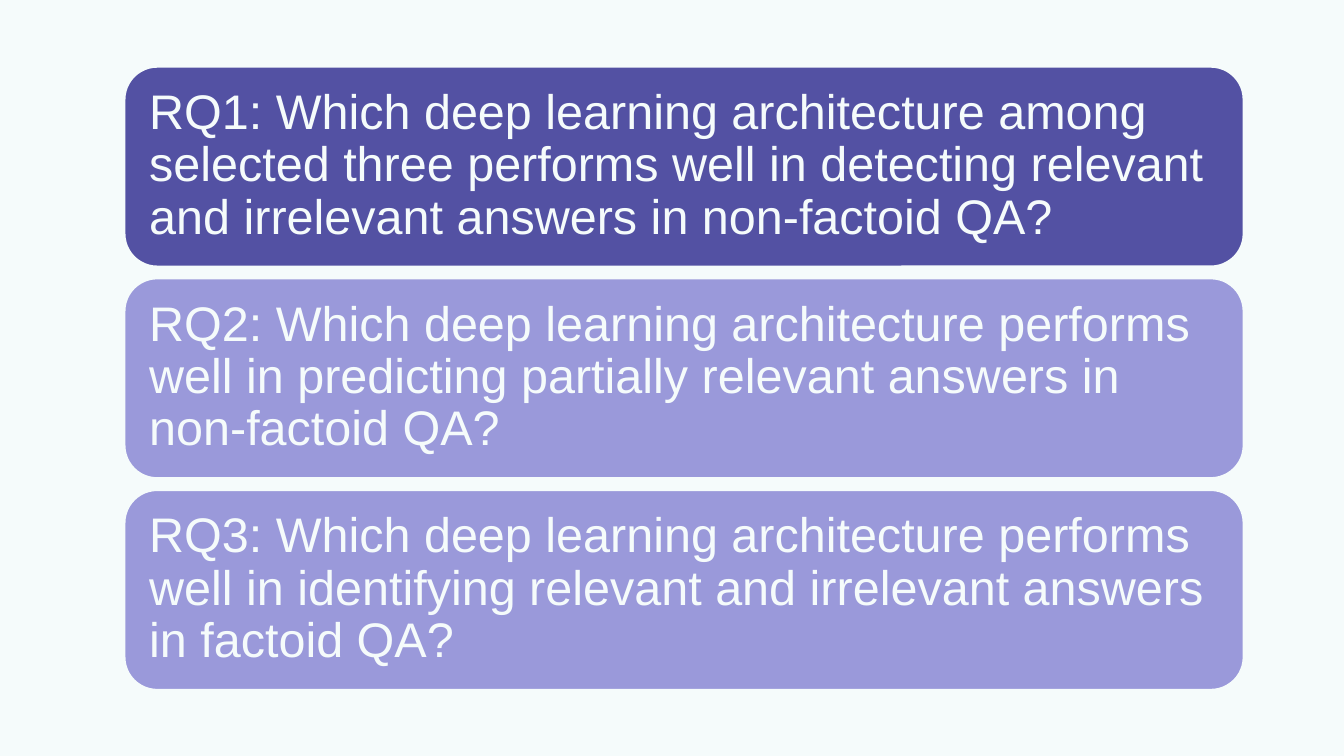
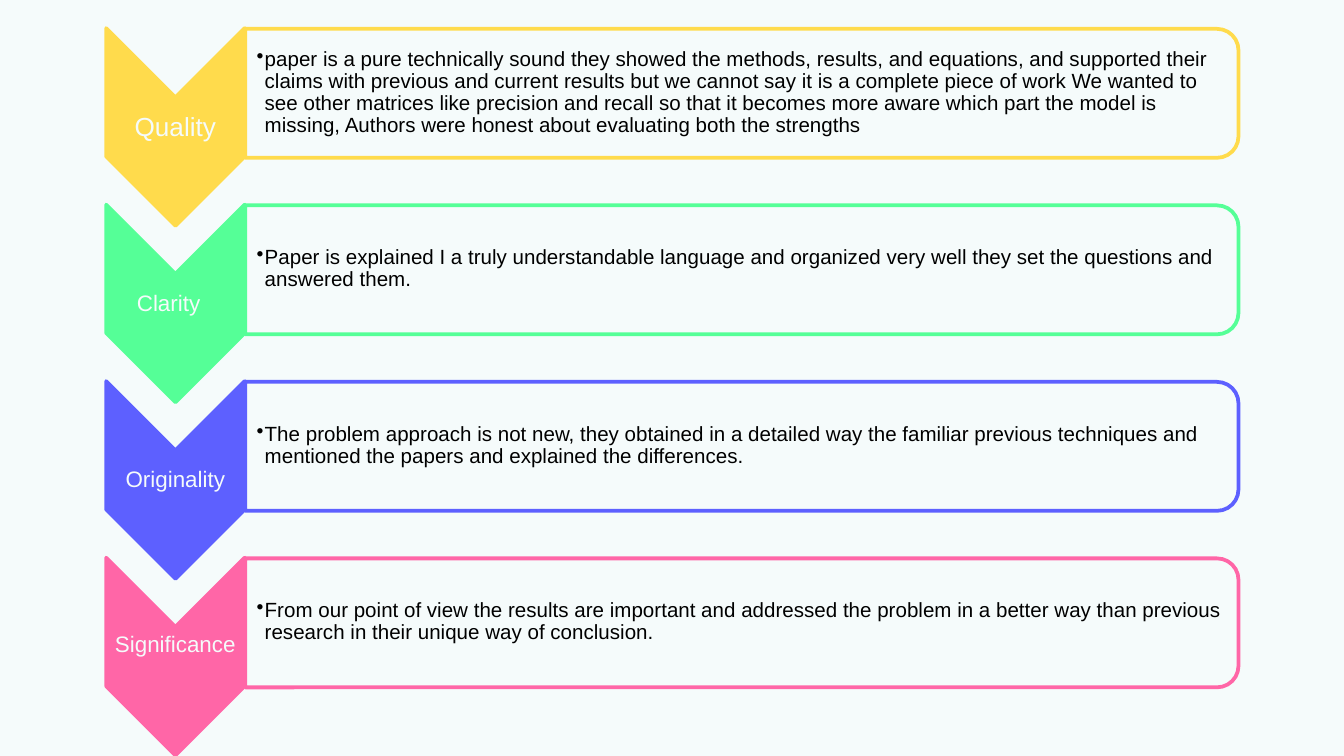
from dataclasses import dataclass

from lxml.etree import SubElement
from pptx import Presentation
from pptx.dml.color import RGBColor
from pptx.enum.shapes import MSO_SHAPE
from pptx.enum.text import MSO_ANCHOR, PP_ALIGN
from pptx.oxml.ns import qn
from pptx.util import Inches, Pt


@dataclass(frozen=True)
class Theme:
    paper: str = "F5FBFB"
    ink: str = "000000"
    dark: str = "5351A3"
    light: str = "9A99DA"
    yellow: str = "FFDB4C"
    green: str = "55FF97"
    blue: str = "5D60FF"
    pink: str = "FF66A7"
    font: str = "Arial"
    ask: int = 26
    lead: int = 14
    label: int = 12
    body: int = 11
    line: int = 2


theme = Theme()


def draw(group, kind, box, fill, line, turn=0):
    shape = group.shapes.add_shape(kind, *map(Inches, box))
    shape.shadow.inherit = False
    shape.rotation = turn
    shape.fill.solid()
    shape.fill.fore_color.rgb = RGBColor.from_string(fill)
    shape.line.color.rgb = RGBColor.from_string(line)
    shape.line.width = Pt(theme.line)
    return shape


def write(group, box, text, size, color, pads, align=PP_ALIGN.LEFT):
    """Add a middle-anchored text box; pads are left, top, right, bottom."""
    frame = group.shapes.add_textbox(*map(Inches, box)).text_frame
    frame.word_wrap = True
    frame.vertical_anchor = MSO_ANCHOR.MIDDLE
    for side, pad in zip(("left", "top", "right", "bottom"), pads):
        setattr(frame, f"margin_{side}", Inches(pad))
    para = frame.paragraphs[0]
    para.alignment = align
    para.line_spacing = 0.9
    run = para.add_run()
    run.text = text
    for name, value in {"name": theme.font, "size": Pt(size)}.items():
        setattr(run.font, name, value)
    run.font.color.rgb = RGBColor.from_string(color)
    return para


deck = Presentation()
deck.slide_width, deck.slide_height = Inches(10), Inches(5.625)

groups = []
for _ in range(2):
    slide = deck.slides.add_slide(deck.slide_layouts[6])
    slide.background.fill.solid()
    slide.background.fill.fore_color.rgb = RGBColor.from_string(theme.paper)
    groups.append(slide.shapes.add_group_shape())
asks, review = groups

# Research questions
questions = [
    (theme.dark, "RQ1: Which deep learning architecture among selected three performs "
     "well in detecting relevant and irrelevant answers in non-factoid QA?"),
    (theme.light, "RQ2: Which deep learning architecture performs well in predicting "
     "partially relevant answers in non-factoid QA?"),
    (theme.light, "RQ3: Which deep learning architecture performs well in identifying "
     "relevant and irrelevant answers in factoid QA?"),
]
for i, (fill, text) in enumerate(questions):
    top = 0.49 + i * 1.575
    draw(asks, MSO_SHAPE.ROUNDED_RECTANGLE, (0.92, top, 8.34, 1.5), fill, theme.paper)
    write(asks, (1, top + 0.07, 8.19, 1.35), text, theme.ask, theme.paper, [0.11] * 4)

# Paper review: the last two values of a row pad its label on the right and below
rows = [
    ("Quality", theme.yellow, theme.lead,
     "paper is a pure technically sound they showed the methods, results, and "
     "equations, and supported their claims with previous and current results but we "
     "cannot say it is a complete piece of work We wanted to see other matrices like "
     "precision and recall so that it becomes more aware which part the model is "
     "missing, Authors were honest about evaluating both the strengths", 0.01, 0.01),
    ("Clarity", theme.green, theme.label,
     "Paper is explained I a truly understandable language and organized very well "
     "they set the questions and answered them.", 0.11, 0.01),
    ("Originality", theme.blue, theme.label,
     "The problem approach is not new, they obtained in a detailed way the familiar "
     "previous techniques and mentioned the papers and explained the differences.",
     0.01, 0.01),
    ("Significance", theme.pink, theme.label,
     "From our point of view the results are important and addressed the problem in a "
     "better way than previous research in their unique way of conclusion.", 0.01, 0.19),
]
step = 3.94 / 3
for i, (name, color, size, text, right, below) in enumerate(rows):
    y = i * step
    draw(review, MSO_SHAPE.CHEVRON, (0.57, 0.43 + y, 1.47, 1.03), color, color, 90)
    write(review, (0.79, 0.73 + y, 1.03, 0.44), name, size, theme.paper,
          (0.01, 0.01, right, below), PP_ALIGN.CENTER)

    panel = draw(review, MSO_SHAPE.ROUND_2_SAME_RECTANGLE, (5.04, y - 3, 0.96, 7.39),
                 theme.paper, color, 90)
    tint = panel.fill._xPr.find(qn("a:solidFill"))[0]
    SubElement(tint, qn("a:alpha"), val="90000")

    para = write(review, (1.82, 0.26 + y, 7.34, 0.86), text, theme.body, theme.ink,
                 (0.09, 0.01, 0.01, 0.01))
    props = para._p.get_or_add_pPr()
    props.set("marL", str(Inches(0.06)))
    props.set("indent", str(-Inches(0.06)))
    SubElement(props, qn("a:buChar"), char="•")

deck.save("out.pptx")
